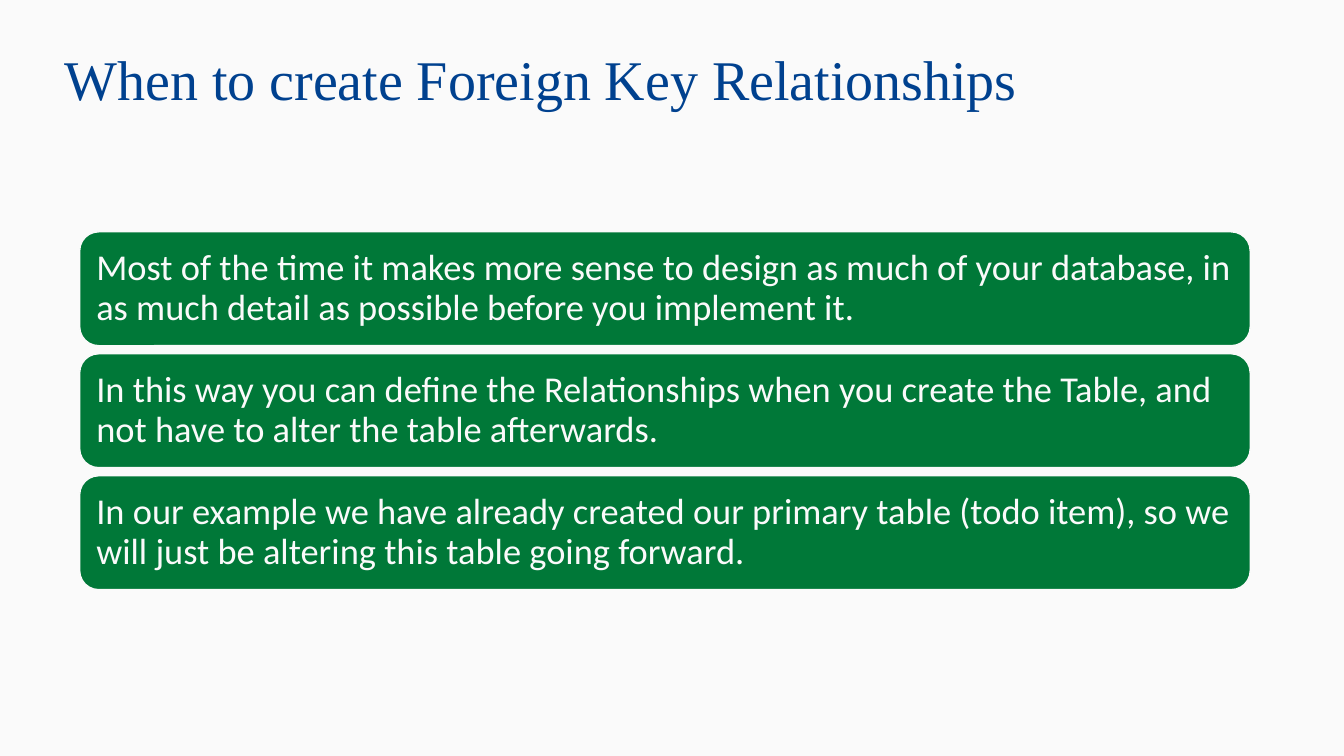
import pptx
import pptx.util
import pptx.dml.color
import pptx.enum.shapes
import pptx.enum.text
from pptx.util import Inches, Pt

TITLE = "When to create Foreign Key Relationships"
POINTS = [
    "Most of the time it makes more sense to design as much of your database, in as much detail as possible before you implement it.",
    "In this way you can define the Relationships when you create the Table, and not have to alter the table afterwards.",
    "In our example we have already created our primary table (todo item), so we will just be altering this table going forward.",
]

BLUE = pptx.dml.color.RGBColor(0x00, 0x41, 0x8F)
GREEN = pptx.dml.color.RGBColor(0x00, 0x78, 0x38)
OFF_WHITE = pptx.dml.color.RGBColor(0xFA, 0xFA, 0xFA)

CARD_LEFT, CARD_TOP, CARD_WIDTH, CARD_HEIGHT = 0.79, 2.3, 11.61, 1.13
CARD_PITCH = 1.21
CARD_INSET = 0.11


def write(shape, text, font, size, color, spacing, insets):
    """Fill a shape with one left-aligned, vertically centred paragraph."""
    tf = shape.text_frame
    tf.word_wrap = True
    tf.vertical_anchor = pptx.enum.text.MSO_ANCHOR.MIDDLE
    tf.margin_left, tf.margin_top, tf.margin_right, tf.margin_bottom = map(Inches, insets)
    p = tf.paragraphs[0]
    p.text = text
    p.alignment = pptx.enum.text.PP_ALIGN.LEFT
    p.line_spacing = spacing
    r = p.runs[0]
    r.font.name = font
    r.font.size = Pt(size)
    r.font.color.rgb = color


prs = pptx.Presentation()
prs.slide_width, prs.slide_height = Inches(13.33), Inches(7.5)
s = prs.slides.add_slide(prs.slide_layouts[6])
s.background.fill.solid()
s.background.fill.fore_color.rgb = OFF_WHITE

title = s.shapes.add_textbox(Inches(0.64), Inches(0.73), Inches(10.88), Inches(0.41))
write(title, TITLE, "Times New Roman", 40, BLUE, Pt(22.7), (0, 0.04, 0, 0))

for i, point in enumerate(POINTS):
    card = s.shapes.add_shape(
        pptx.enum.shapes.MSO_SHAPE.ROUNDED_RECTANGLE,
        Inches(CARD_LEFT), Inches(CARD_TOP + i * CARD_PITCH),
        Inches(CARD_WIDTH), Inches(CARD_HEIGHT))
    card.shadow.inherit = False
    card.fill.solid()
    card.fill.fore_color.rgb = GREEN
    card.line.color.rgb = OFF_WHITE
    card.line.width = Pt(1)
    write(card, point, "Calibri", 26, OFF_WHITE, 0.9, [CARD_INSET] * 4)

prs.save("out.pptx")
